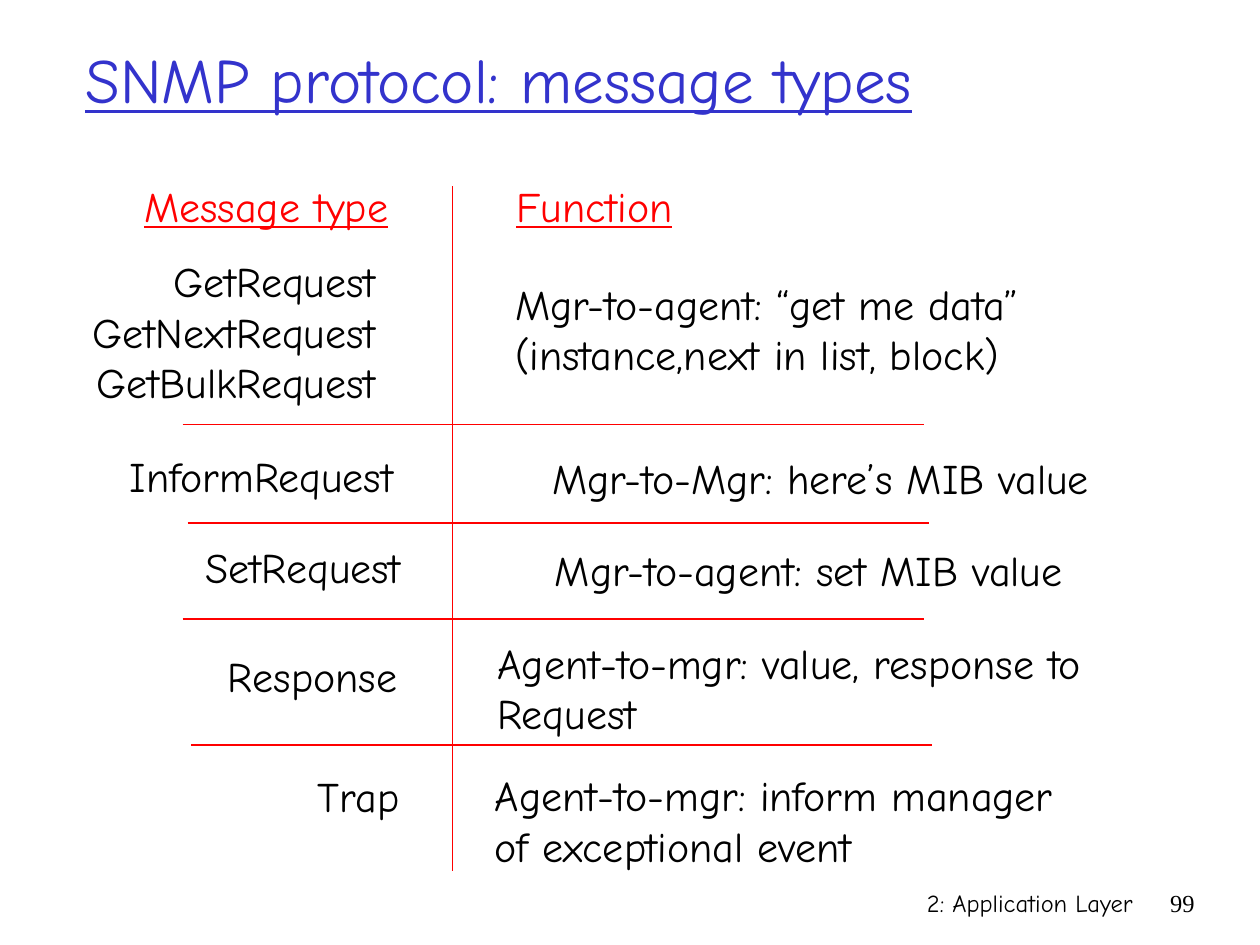
from lxml import etree
from pptx import Presentation
from pptx.dml.color import RGBColor
from pptx.enum.shapes import MSO_CONNECTOR
from pptx.enum.text import MSO_ANCHOR, PP_ALIGN
from pptx.oxml.ns import qn
from pptx.util import Inches, Pt

BLACK, RED, BLUE = "000000", "FF0000", "3333CC"
LEFT, RIGHT = PP_ALIGN.LEFT, PP_ALIGN.RIGHT
LINE_HEIGHT, PADDING = 0.4, 0.1

# Each cell: lines of text, left, top, width, alignment
HEADINGS = [
    (["Message type"], 1.04, 1.38, 2.14, RIGHT),
    (["Function"], 4, 1.38, 1.44, LEFT),
]
CELLS = [
    (["GetRequest", "GetNextRequest", "GetBulkRequest"], 0.63, 1.98, 2.45, RIGHT),
    (["Mgr-to-agent: “get me data”", "(instance,next in list, block)"],
     3.99, 2.16, 4.22, LEFT),
    (["InformRequest"], 0.4, 3.53, 2.82, RIGHT),
    (["Mgr-to-Mgr: here’s MIB value"], 3.81, 3.54, 4.93, RIGHT),
    (["SetRequest"], 0.46, 4.25, 2.82, RIGHT),
    (["Mgr-to-agent: set MIB value"], 3.86, 4.27, 4.67, RIGHT),
    (["Response"], 0.43, 5.11, 2.82, RIGHT),
    (["Agent-to-mgr: value, response to", "Request"], 3.85, 5.01, 6, LEFT),
    (["Trap"], 0.45, 6.07, 2.82, RIGHT),
    (["Agent-to-mgr: inform manager", "of exceptional event"], 3.83, 6.06, 5.24, LEFT),
]
ROW_RULES = [(1.45, 3.37), (1.49, 4.15), (1.45, 4.91), (1.52, 5.91)]  # left, y
RULE_LENGTH = 5.88
COLUMN_RULE = (3.59, 1.48, 3.59, 6.91)


def rgb(value):
    return RGBColor.from_string(value)


def add_text(slide, lines, left, top, width, align=LEFT, height=None, size=24,
             color=BLACK, font="Comic Neue", underline=None,
             anchor=MSO_ANCHOR.TOP, wrap=True):
    """Add a text box with one paragraph per line."""
    height = height or LINE_HEIGHT * len(lines) + PADDING
    box = slide.shapes.add_textbox(Inches(left), Inches(top), Inches(width), Inches(height))
    frame = box.text_frame
    frame.word_wrap = wrap
    frame.vertical_anchor = anchor
    frame.text = "\n".join(lines)
    for paragraph in frame.paragraphs:
        paragraph.alignment = align
        for run in paragraph.runs:
            run.font.name = font
            run.font.size = Pt(size)
            run.font.underline = underline
            run.font.color.rgb = rgb(color)


def add_rule(slide, x1, y1, x2, y2, weight):
    rule = slide.shapes.add_connector(
        MSO_CONNECTOR.STRAIGHT, Inches(x1), Inches(y1), Inches(x2), Inches(y2))
    rule.line.color.rgb = rgb(RED)
    rule.line.width = Pt(weight)
    etree.SubElement(rule._element.spPr, qn("a:effectLst"))


def main():
    presentation = Presentation()
    presentation.slide_width, presentation.slide_height = Inches(10), Inches(7.5)
    slide = presentation.slides.add_slide(presentation.slide_layouts[6])

    add_text(slide, ["SNMP protocol: message types"], 0.58, 0, 8.5, height=1.25,
             size=36, color=BLUE, underline=True, anchor=MSO_ANCHOR.MIDDLE)
    for heading in HEADINGS:
        add_text(slide, *heading, color=RED, underline=True, wrap=False)
    for cell in CELLS:
        add_text(slide, *cell)
    for left, y in ROW_RULES:
        add_rule(slide, left, y, left + RULE_LENGTH, y, weight=1)
    add_rule(slide, *COLUMN_RULE, weight=0.75)

    add_text(slide, ["2: Application Layer"], 5.92, 7, 3.17, RIGHT, size=14)
    add_text(slide, ["99"], 9.08, 7, 0.5, RIGHT, size=14, font="Times New Roman")
    presentation.save("out.pptx")


if __name__ == "__main__":
    main()
